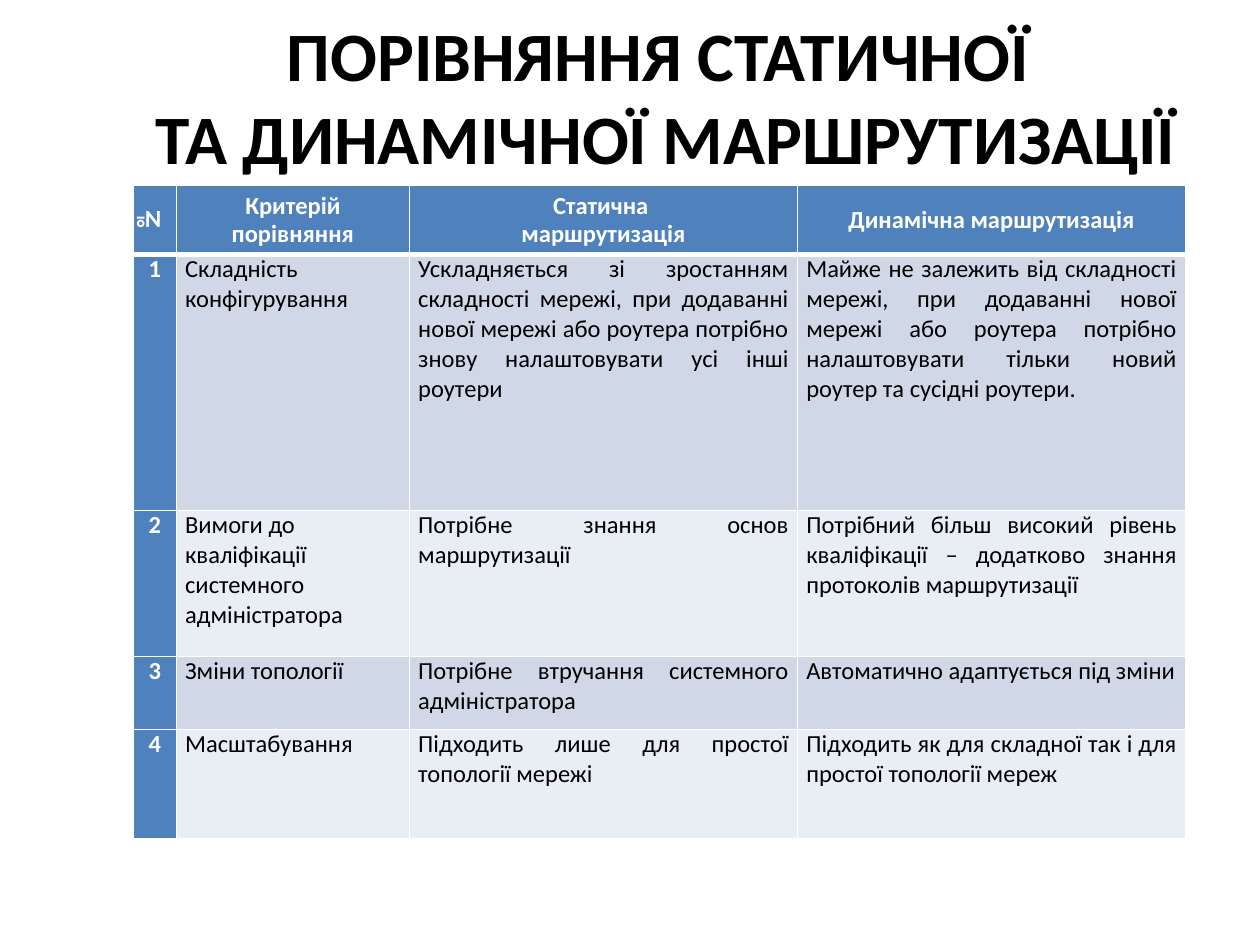
from lxml import etree
from pptx import Presentation
from pptx.dml.color import RGBColor
from pptx.enum.text import MSO_ANCHOR, MSO_AUTO_SIZE, PP_ALIGN
from pptx.oxml.ns import qn
from pptx.util import Inches, Pt

LEFT, MID, JUST = PP_ALIGN.LEFT, PP_ALIGN.CENTER, PP_ALIGN.JUSTIFY
TOP, CENTER = MSO_ANCHOR.TOP, MSO_ANCHOR.MIDDLE
BLACK = RGBColor(0, 0, 0)
WHITE = RGBColor(255, 255, 255)
BLUE = RGBColor(0x4F, 0x81, 0xBD)
BANDS = [RGBColor(0xE9, 0xED, 0xF4), RGBColor(0xD0, 0xD8, 0xE8)]

TITLE = "ПОРІВНЯННЯ СТАТИЧНОЇ \vТА ДИНАМІЧНОЇ МАРШРУТИЗАЦІЇ"
ROWS = [
    ("№", "Критерій порівняння", "Статична \vмаршрутизація",
     "Динамічна маршрутизація"),
    ("1", "Складність конфігурування",
     "Ускладняється зі зростанням складності мережі, при додаванні нової "
     "мережі або роутера потрібно знову налаштовувати усі інші роутери",
     "Майже не залежить від складності мережі, при додаванні нової мережі "
     "або роутера потрібно налаштовувати тільки новий роутер та сусідні "
     "роутери."),
    ("2", "Вимоги до кваліфікації системного адміністратора",
     "Потрібне знання основ маршрутизації",
     "Потрібний більш високий рівень кваліфікації – додатково знання "
     "протоколів маршрутизації"),
    ("3", "Зміни топології", "Потрібне втручання системного адміністратора",
     "Автоматично адаптується під зміни"),
    ("4", "Масштабування", "Підходить лише для простої топології мережі",
     "Підходить як для складної так і для простої топології мереж"),
]
WIDTHS = [0.34, 1.85, 3.08, 3.08]
HEIGHTS = [0.55, 2.03, 1.16, 0.58, 0.87]
ALIGNS = [MID, LEFT, JUST, JUST]


def write(frame, text, size=14, color=BLACK, bold=False, align=MID, space=None):
    frame.text = text
    para = frame.paragraphs[0]
    para.alignment = align
    if space:
        para.line_spacing = space
    for run in para.runs:
        font = run.font
        font.name = "Calibri"
        font.size = Pt(size)
        font.bold = bold
        font.color.rgb = color


def edge(cell, side, width):
    props = cell._tc.get_or_add_tcPr()
    line = etree.SubElement(props, qn(f"a:ln{side}"), w=str(Pt(width)))
    fill = etree.SubElement(line, qn("a:solidFill"))
    etree.SubElement(fill, qn("a:srgbClr"), val=str(WHITE))


def build():
    deck = Presentation()
    deck.slide_width, deck.slide_height = Inches(10), Inches(7.5)
    slide = deck.slides.add_slide(deck.slide_layouts[5])

    title = slide.shapes.title
    title.left, title.top = Inches(0.75), Inches(0.29)
    title.width, title.height = Inches(9.07), Inches(0.93)
    frame = title.text_frame
    frame.auto_size = MSO_AUTO_SIZE.NONE
    frame.vertical_anchor = CENTER
    write(frame, TITLE, size=39.6, bold=True)

    table = slide.shapes.add_table(
        len(ROWS), len(WIDTHS), Inches(1.06), Inches(1.47),
        Inches(sum(WIDTHS)), Inches(sum(HEIGHTS))).table
    for col, width in zip(table.columns, WIDTHS):
        col.width = Inches(width)
    for row, height in zip(table.rows, HEIGHTS):
        row.height = Inches(height)

    for r, row in enumerate(ROWS):
        for c, text in enumerate(row):
            cell = table.cell(r, c)
            head = r == 0
            key = head or c == 0
            cell.margin_left = cell.margin_right = Inches(0.07 if c else 0)
            cell.margin_top = cell.margin_bottom = 0
            cell.vertical_anchor = CENTER if head else TOP
            for side in "LRTB":
                thick = (r, side) in ((0, "B"), (1, "T"))
                edge(cell, side, 3 if thick else 1)
            cell.fill.solid()
            cell.fill.fore_color.rgb = BLUE if key else BANDS[r % 2]
            write(cell.text_frame, text, color=WHITE if key else BLACK,
                  bold=key, align=MID if head else ALIGNS[c],
                  space=0.95 if head and c else None)
    table.cell(0, 0)._tc.get_or_add_tcPr().set("vert", "vert270")

    deck.save("out.pptx")


if __name__ == "__main__":
    build()
